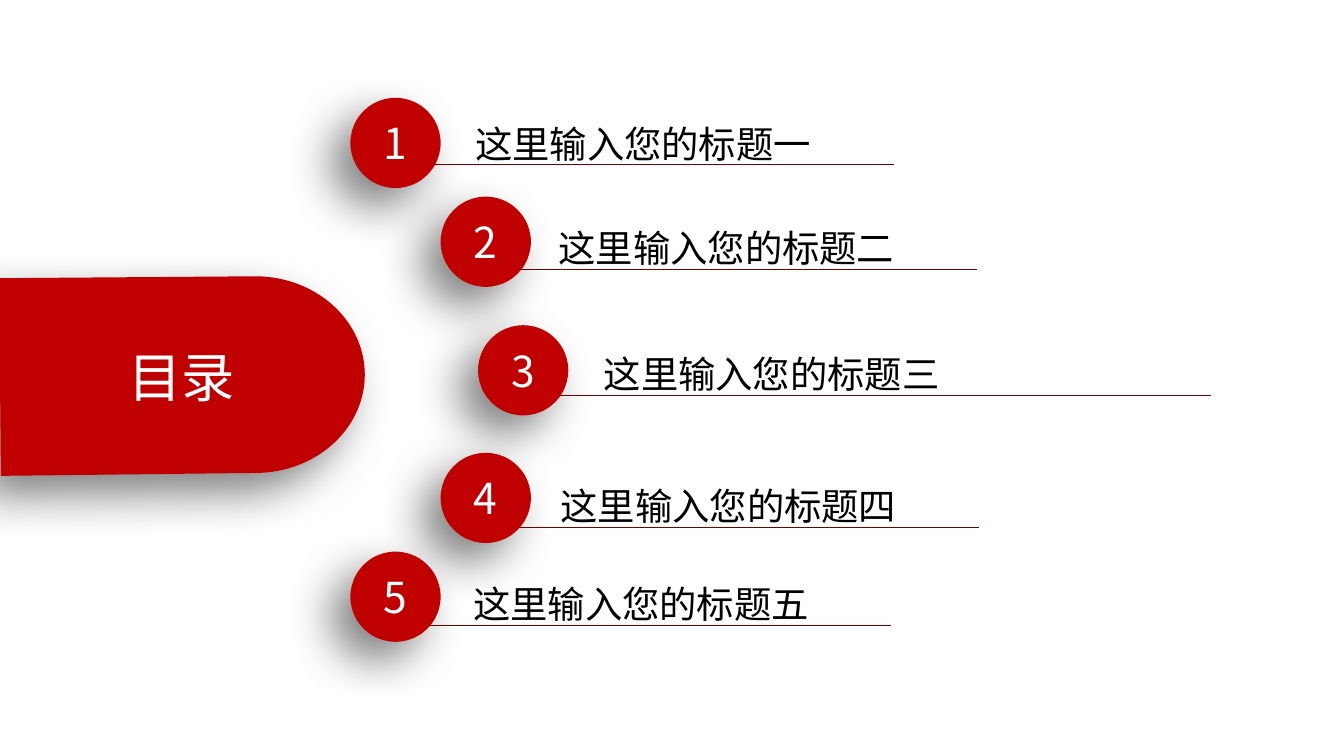
from dataclasses import dataclass
from math import cos, pi, sin

from lxml import etree
from pptx import Presentation
from pptx.dml.color import RGBColor
from pptx.enum.shapes import MSO_CONNECTOR, MSO_SHAPE
from pptx.enum.text import MSO_ANCHOR, MSO_AUTO_SIZE, PP_ALIGN
from pptx.oxml.ns import qn
from pptx.util import Inches, Pt

STRAIGHT = MSO_CONNECTOR.STRAIGHT
OVAL = MSO_SHAPE.OVAL
MIDDLE = MSO_ANCHOR.MIDDLE
FIT_SHAPE = MSO_AUTO_SIZE.SHAPE_TO_FIT_TEXT
CENTER, LEFT = PP_ALIGN.CENTER, PP_ALIGN.LEFT


@dataclass(frozen=True)
class Theme:
    red: str = "C00000"
    rule: str = "760000"
    white: str = "FFFFFF"
    black: str = "000000"
    font: str = "Noto Sans CJK SC"
    heading_size: int = 40
    number_size: int = 32
    label_size: int = 28
    rule_width: float = 0.75


class SlideBuilder:
    """Draws on a grid whose columns and rows are a tenth of an inch."""

    def __init__(self, slide, theme):
        self.shapes = slide.shapes
        self.theme = theme

    def grid(self, *cells):
        return [Inches(cell / 10) for cell in cells]

    def set_text(self, shape, text, size, color, align):
        frame = shape.text_frame
        frame.text = text
        para = frame.paragraphs[0]
        para.alignment = align
        span = para.runs[0]
        span.font.size = Pt(size)
        span.font.name = self.theme.font
        span.font.color.rgb = RGBColor.from_string(color)
        east_asian = etree.SubElement(span.font._element, qn("a:ea"))
        east_asian.set("typeface", self.theme.font)

    def fill_red(self, shape):
        shape.fill.solid()
        shape.fill.fore_color.rgb = RGBColor.from_string(self.theme.red)
        shape.line.fill.background()
        shape.text_frame.vertical_anchor = MIDDLE
        # Soft shadow towards the lower left
        shape.shadow.inherit = False
        effects = shape._element.spPr.find(qn("a:effectLst"))
        shadow = etree.SubElement(
            effects, qn("a:outerShdw"), blurRad=str(Pt(35)), dist=str(Pt(20)),
            dir=str(135 * 60000), algn="tr", rotWithShape="0")
        color = etree.SubElement(shadow, qn("a:srgbClr"), val=self.theme.black)
        etree.SubElement(color, qn("a:alpha"), val="50000")

    def rule(self, left, right, row):
        line = self.shapes.add_connector(STRAIGHT, *self.grid(left, row, right, row))
        line.line.color.rgb = RGBColor.from_string(self.theme.rule)
        line.line.width = Pt(self.theme.rule_width)
        etree.SubElement(line._element.spPr, qn("a:effectLst"))

    def banner(self, text, points):
        corners = [self.grid(*point) for point in points]
        outline = self.shapes.build_freeform(*corners[0], scale=1.0)
        outline.add_line_segments(corners[1:], close=True)
        shape = outline.convert_to_shape()
        self.fill_red(shape)
        self.set_text(shape, text, self.theme.heading_size, self.theme.white, CENTER)

    def number_disc(self, number, left, top, diameter):
        disc = self.shapes.add_shape(OVAL, *self.grid(left, top, diameter, diameter))
        self.fill_red(disc)
        self.set_text(disc, str(number), self.theme.number_size, self.theme.white, CENTER)

    def label(self, text, left, top, width, height, wrap):
        box = self.shapes.add_textbox(*self.grid(left, top, width, height))
        frame = box.text_frame
        frame.word_wrap = wrap
        frame.auto_size = FIT_SHAPE
        frame.margin_left = frame.margin_right = Inches(0.12)
        frame.margin_top = frame.margin_bottom = Inches(0.06)
        self.set_text(box, text, self.theme.label_size, self.theme.black, LEFT)


# Deck and page
deck = Presentation()
deck.slide_width, deck.slide_height = Inches(14), Inches(7.88)
page = SlideBuilder(deck.slides.add_slide(deck.slide_layouts[6]), Theme())

# Entries: title, disc left and top, rule left, right and row, label left and width
DISC = 9.4
LABEL_WIDTH, LABEL_HEIGHT, LABEL_RISE = 37.8, 5.9, 5.2
ENTRIES = [
    ("这里输入您的标题一", 36.5, 10.2, 45.1, 93.1, 17.2, 48.3, 46.5),
    ("这里输入您的标题二", 45.9, 20.5, 53.8, 101.8, 28.1, 57.0, LABEL_WIDTH),
    ("这里输入您的标题三", 49.8, 33.9, 57.7, 126.2, 41.2, 61.7, LABEL_WIDTH),
    ("这里输入您的标题四", 45.9, 47.2, 54.0, 102.0, 55.0, 57.2, LABEL_WIDTH),
    ("这里输入您的标题五", 36.5, 57.5, 44.7, 92.8, 65.2, 48.1, LABEL_WIDTH),
]

# Rules lie behind everything else
for _, _, _, start, end, row, _, _ in ENTRIES:
    page.rule(start, end, row)

# Heading banner with a rounded right end
STEPS = 60
angles = [pi * step / STEPS - pi / 2 for step in range(STEPS + 1)]
round_end = [(26.6 + 11.4 * cos(angle), 39.05 + 10.25 * sin(angle)) for angle in angles]
page.banner("目录", [(-0.1, 29), *round_end, (0.1, 49.6)])

# Numbered discs
for number, (_, left, top, *_) in enumerate(ENTRIES, start=1):
    page.number_disc(number, left, top, DISC)

# Entry titles
for title, _, _, _, _, row, left, width in ENTRIES:
    page.label(title, left, row - LABEL_RISE, width, LABEL_HEIGHT, width > LABEL_WIDTH)

deck.save("out.pptx")
